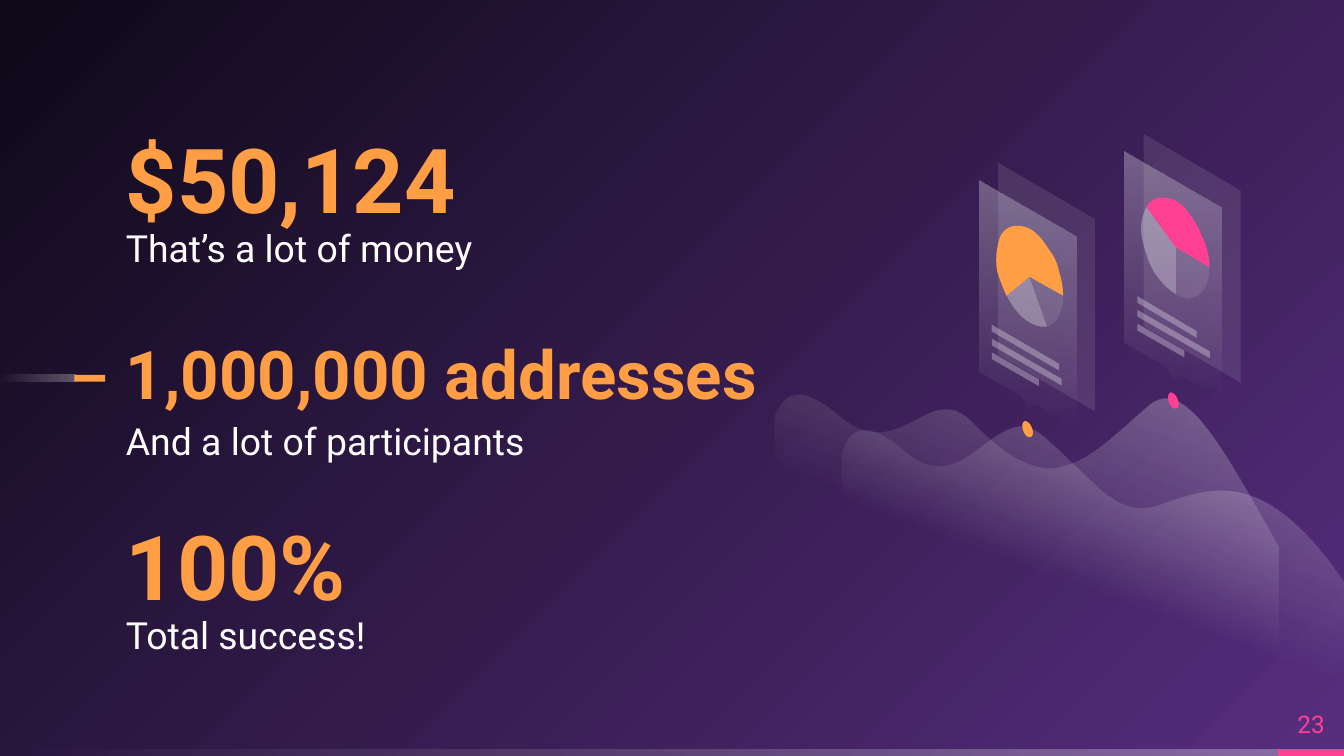
import typing

import pptx
import pptx.dml.color
import pptx.enum.shapes
import pptx.enum.text
import pptx.oxml
import pptx.oxml.ns
import pptx.util

PX = 9144  # EMU per px, 100 px to the inch
FONT = "Roboto"
ORANGE, PINK, WHITE = "FF9E44", "FF4093", "FFFFFF"
PURPLE, NIGHT = "572D7E", "0E0918"
FADE = [(0, WHITE, 30), (100, WHITE, 0)]
HILL_FADE = [(0, WHITE, 30), (47, WHITE, 0), (100, WHITE, 0)]

# A node of 2 numbers ends a line; one of 6 ends a cubic curve.
Outline = list[tuple[float, ...]]

class Stat(typing.NamedTuple):
    top: float
    value: str
    size: int
    caption: str

class Slice(typing.NamedTuple):
    colour: str
    alpha: int
    outline: Outline

class Card(typing.NamedTuple):
    left: float
    top: float
    colour: str
    line_widths: tuple[int, int, int]
    slices: list[Slice]

STATS = [
    Stat(88.5, "$50,124", 48, "That’s a lot of money"),
    Stat(232, "1,000,000 addresses", 36, "And a lot of participants"),
    Stat(376.3, "100%", 48, "Total success!"),
]
HILLS: list[Outline] = [
    [(624, 309), (585, 276, 580, 307, 577, 308), (577, 308, 576, 316, 577, 343),
     (951, 559), (951, 407), (908, 331, 880, 278, 853, 303),
     (805, 345, 781, 374, 724, 315), (691, 280, 670, 349, 624, 309)],
    [(673, 336), (634, 302, 629, 334, 627, 335), (627, 335, 625, 342, 627, 370),
     (1000, 586), (1000, 434), (940, 346, 900, 363, 865, 375),
     (831, 388, 819, 362, 776, 325), (741, 294, 719, 376, 673, 336)],
]
# Parts shared by both cards, measured from the front panel's top left corner
DOT: Outline = [(40, 188), (40, 185, 38, 181, 36, 180), (34, 178, 32, 180, 32, 183),
                (32, 186, 34, 190, 36, 191), (38, 192, 40, 191, 40, 188)]
BACK_PANEL: Outline = [(14, -13), (86, 29), (86, 172), (14, 130)]
FRONT_PANEL: Outline = [(72, 42), (0, 0), (0, 142), (31, 160), (36, 170), (41, 166), (72, 184)]
CARDS = [
    Card(837, 112.7, PINK, (44, 54, 35), [
        Slice(WHITE, 10, [
            (900, 199), (900, 203, 899, 207, 898, 211), (896, 214, 895, 217, 892, 219),
            (890, 221, 887, 222, 884, 222), (881, 222, 878, 221, 875, 219), (875, 184)]),
        Slice(WHITE, 30, [
            (875, 219), (870, 216, 866, 212, 862, 207), (858, 202, 855, 196, 853, 189),
            (851, 183, 849, 176, 849, 170), (849, 164, 851, 158, 853, 154), (875, 184)]),
        Slice(PINK, 100, [
            (900, 199), (900, 191, 898, 183, 894, 175), (891, 167, 886, 160, 881, 154),
            (876, 149, 870, 147, 865, 147), (860, 147, 856, 149, 853, 154), (875, 184)]),
    ]),
    Card(728.6, 134, ORANGE, (50, 52, 35), [
        Slice(WHITE, 10, [
            (791, 220), (791, 226, 790, 231, 788, 235), (786, 239, 783, 242, 779, 243), (766, 205)]),
        Slice(WHITE, 30, [
            (779, 243), (774, 244, 769, 242, 763, 238), (758, 234, 753, 228, 749, 220), (766, 206)]),
        Slice(ORANGE, 100, [
            (791, 220), (791, 214, 790, 208, 788, 202), (787, 196, 784, 190, 780, 185),
            (777, 180, 773, 175, 769, 172), (765, 169, 761, 168, 757, 168),
            (753, 168, 750, 169, 747, 172), (744, 175, 743, 179, 742, 185),
            (741, 190, 741, 196, 742, 202), (744, 208, 746, 214, 749, 220), (766, 206)]),
    ]),
]

def px(length: float) -> pptx.util.Emu:
    return pptx.util.Emu(round(length * PX))

def rgb(colour: str) -> pptx.dml.color.RGBColor:
    return pptx.dml.color.RGBColor.from_string(colour)

def xml(text: str):
    return pptx.oxml.parse_xml(text.replace(" ", f' {pptx.oxml.ns.nsdecls("a")} ', 1))

def set_gradient(fill, root, stops: list[tuple[int, str, int]], direction: str) -> None:
    """Fill with (position, colour, alpha) stops; direction is the a:lin or a:path XML."""
    fill.gradient()
    grad = root.find(".//" + pptx.oxml.ns.qn("a:gradFill"))
    marks = "".join(f'<a:gs pos="{pos * 1000}"><a:srgbClr val="{colour}">'
                    f'<a:alpha val="{alpha * 1000}"/></a:srgbClr></a:gs>'
                    for pos, colour, alpha in stops)
    grad.getparent().replace(grad, xml(
        f'<a:gradFill rotWithShape="1"><a:gsLst>{marks}</a:gsLst>{direction}</a:gradFill>'))

def fade(sp, stops: list[tuple[int, str, int]], angle: int) -> None:
    sp.shadow.inherit = False
    sp.line.fill.background()
    set_gradient(sp.fill, sp._element, stops, f'<a:lin ang="{angle * 60000}" scaled="0"/>')

def paint(sp, colour: str, alpha: int = 100) -> None:
    sp.shadow.inherit = False
    sp.line.fill.background()
    sp.fill.solid()
    sp.fill.fore_color.rgb = rgb(colour)
    if alpha < 100:
        clr = sp._element.spPr.find(".//" + pptx.oxml.ns.qn("a:srgbClr"))
        clr.append(xml(f'<a:alpha val="{alpha * 1000}"/>'))

def add_bar(s, left: float, top: float, width: float):
    return s.shapes.add_shape(pptx.enum.shapes.MSO_SHAPE.RECTANGLE, *map(px, (left, top, width, 5)))

def reach(outline: Outline, axis: int) -> tuple[float, float]:
    """Lowest and highest coordinate that the curves really touch on one axis."""
    last, values = outline[0][axis], []
    for node in outline:
        a, b, c, d = (last, *node[axis::2]) if len(node) == 6 else (node[axis],) * 4
        values += [(1 - t) ** 3 * a + 3 * t * (1 - t) ** 2 * b + 3 * t * t * (1 - t) * c + t ** 3 * d
                   for t in (i / 20 for i in range(21))]
        last = d
    return min(values), max(values)

def add_outline(s, outline: Outline, dx: float = 0, dy: float = 0):
    """Draw a closed outline: a freeform of the right extent takes its lines and curves."""
    (left, right), (top, bottom) = reach(outline, 0), reach(outline, 1)
    builder = s.shapes.build_freeform(px(left + dx), px(top + dy), scale=1.0)
    builder.add_line_segments([(px(right + dx), px(bottom + dy))])
    sp = builder.convert_to_shape()
    path = sp._element.find(".//" + pptx.oxml.ns.qn("a:path"))
    for child in list(path):
        path.remove(child)
    for i, node in enumerate(outline):
        tag = "moveTo" if i == 0 else "cubicBezTo" if len(node) == 6 else "lnTo"
        points = "".join(f'<a:pt x="{px(x - left)}" y="{px(y - top)}"/>'
                         for x, y in zip(node[::2], node[1::2]))
        path.append(xml(f"<a:{tag} >{points}</a:{tag}>"))
    path.append(xml("<a:close />"))
    return sp

def add_card(s, card: Card) -> None:
    paint(add_outline(s, DOT, card.left, card.top), card.colour)
    paint(add_outline(s, BACK_PANEL, card.left, card.top), WHITE, 10)
    fade(add_outline(s, FRONT_PANEL, card.left, card.top), FADE, 90)
    for part in card.slices:
        paint(add_outline(s, part.outline), part.colour, part.alpha)
    for i, width in enumerate(card.line_widths):
        rise = round(width * 0.58)
        line = [(0, 0), (width, rise), (width, rise + 5), (0, 5)]
        paint(add_outline(s, line, card.left + 9.3, card.top + 107.6 + 10.3 * i), WHITE, 30)

def write(sp, box: tuple[float, ...], text: str, size: int, colour: str, bold: bool = False,
          middle: bool = False, centred: bool = False, spacing: float = 1.0, after: int = 0) -> None:
    sp.left, sp.top, sp.width, sp.height = map(px, box)
    tf = sp.text_frame
    tf.word_wrap = True
    tf.auto_size = pptx.enum.text.MSO_AUTO_SIZE.NONE
    tf.margin_left = tf.margin_top = tf.margin_right = tf.margin_bottom = 0
    anchor, align = pptx.enum.text.MSO_ANCHOR, pptx.enum.text.PP_ALIGN
    tf.vertical_anchor = anchor.MIDDLE if middle else anchor.TOP
    p = tf.paragraphs[0]
    p.alignment = align.CENTER if centred else align.LEFT
    p.line_spacing = spacing
    p.space_before, p.space_after = pptx.util.Pt(0), pptx.util.Pt(after)
    r = p.add_run()
    r.text = text
    r.font.name, r.font.size, r.font.bold = FONT, pptx.util.Pt(size), bold
    r.font.color.rgb = rgb(colour)

def add_text_box(s):
    return s.shapes.add_textbox(0, 0, px(1), px(1))

def main() -> None:
    prs = pptx.Presentation()
    prs.slide_width, prs.slide_height = px(1000), px(562.5)
    s = prs.slides.add_slide(prs.slide_layouts[5])
    set_gradient(s.background.fill, s._element, [(0, PURPLE, 100), (100, NIGHT, 100)],
                 '<a:path path="circle"><a:fillToRect l="100000" t="100000"/></a:path>')
    fade(add_bar(s, 0, 557.4, 954), FADE, 180)
    paint(add_bar(s, 951, 557.4, 49), PINK)
    fade(add_bar(s, 0, 279, 56), FADE, 180)
    paint(add_bar(s, 55.4, 279, 23), ORANGE)
    for i, stat in enumerate(STATS):
        heading = s.shapes.title if i == 0 else add_text_box(s)
        write(heading, (93.6, stat.top, 472, 98), stat.value, stat.size, ORANGE,
              bold=True, middle=True, spacing=0.9)
        write(add_text_box(s), (93.6, stat.top + 74, 472, 51), stat.caption, 20, WHITE,
              spacing=1.15, after=8)
    write(add_text_box(s), (951, 519.4, 49, 38), "23", 13, PINK, middle=True, centred=True)
    for hill in HILLS:
        fade(add_outline(s, hill), HILL_FADE, 110)
    for card in CARDS:
        add_card(s, card)
    prs.save("out.pptx")

if __name__ == "__main__":
    main()
